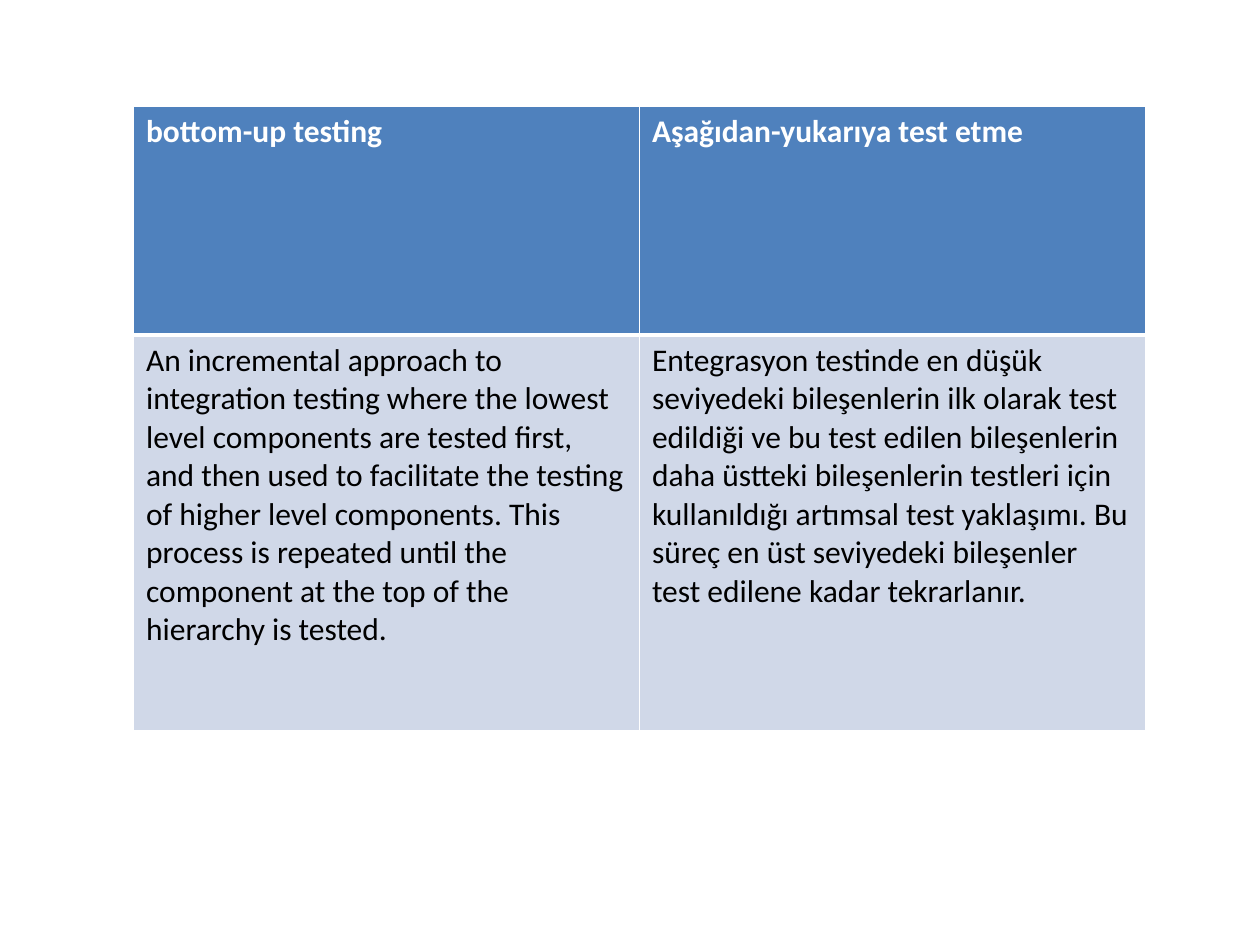
from dataclasses import dataclass

from lxml.etree import SubElement
from pptx import Presentation
from pptx.dml.color import RGBColor
from pptx.oxml.ns import qn
from pptx.util import Inches, Pt


@dataclass(frozen=True)
class Theme:
    font: str = "Calibri"
    size: int = 18
    head: str = "4F81BD"
    body: str = "D0D8E8"
    light: str = "FFFFFF"
    dark: str = "000000"
    thin: int = 1
    thick: int = 3


class Deck:
    def __init__(self, theme):
        self.theme = theme
        self.show = Presentation()
        self.show.slide_width = Inches(10)
        self.show.slide_height = Inches(7.5)
        self.slide = self.show.slides.add_slide(self.show.slide_layouts[6])

    def edge(self, cell, side, width):
        line = SubElement(cell._tc.get_or_add_tcPr(), qn(f"a:ln{side}"), w=str(Pt(width)))
        fill = SubElement(line, qn("a:solidFill"))
        SubElement(fill, qn("a:srgbClr"), val=self.theme.light)

    def cell(self, cell, text, head):
        look = self.theme
        for side in "LRTB":
            heavy = side == ("B" if head else "T")
            self.edge(cell, side, look.thick if heavy else look.thin)
        cell.fill.solid()
        cell.fill.fore_color.rgb = RGBColor.from_string(look.head if head else look.body)
        run = cell.text_frame.paragraphs[0].add_run()
        run.text = text
        font = run.font
        font.name, font.size, font.bold = look.font, Pt(look.size), head
        font.color.rgb = RGBColor.from_string(look.light if head else look.dark)

    def table(self, rows, left, top, width, tall):
        count = len(rows[0])
        frame = self.slide.shapes.add_table(
            len(rows), count, Inches(left), Inches(top), Inches(width), Inches(sum(tall)))
        grid = frame.table
        for col in grid.columns:
            col.width = Inches(width / count)
        for r, texts in enumerate(rows):
            grid.rows[r].height = Inches(tall[r])
            for c, text in enumerate(texts):
                self.cell(grid.cell(r, c), text, r == 0)

    def save(self):
        self.show.save("out.pptx")


TERMS = [
    ("bottom-up testing", "Aşağıdan-yukarıya test etme"),
    (
        "An incremental approach to integration testing where the lowest level "
        "components are tested first, and then used to facilitate the testing of "
        "higher level components. This process is repeated until the component at "
        "the top of the hierarchy is tested.",
        "Entegrasyon testinde en düşük seviyedeki bileşenlerin ilk olarak test "
        "edildiği ve bu test edilen bileşenlerin daha üstteki bileşenlerin testleri "
        "için kullanıldığı artımsal test yaklaşımı. Bu süreç en üst seviyedeki "
        "bileşenler test edilene kadar tekrarlanır.",
    ),
]


def main():
    deck = Deck(Theme())
    deck.table(TERMS, 1.06, 0.84, 8.03, (1.82, 3.14))
    deck.save()


if __name__ == "__main__":
    main()
